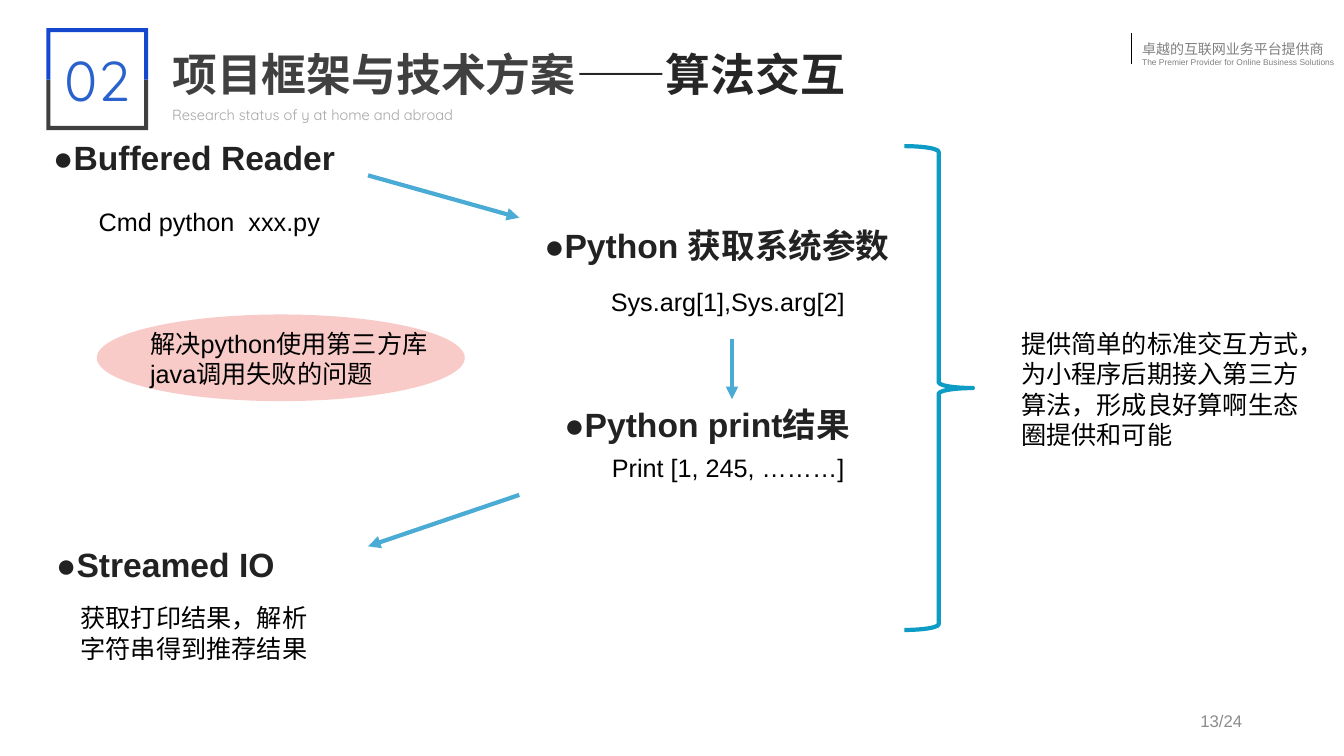
from dataclasses import dataclass

from lxml import etree
from pptx import Presentation, util as u
from pptx.dml.color import RGBColor
from pptx.enum import shapes, text
from pptx.oxml.ns import qn
from pptx.shapes.base import BaseShape
from pptx.shapes.connector import Connector
from pptx.slide import Slide

PX = 9144
LATIN = "Arial"
CHINESE = "Noto Sans CJK SC"
ROUNDED = "Quicksand"

BLACK = RGBColor(0x00, 0x00, 0x00)
INK = RGBColor(0x22, 0x22, 0x22)
DARK = RGBColor(0x26, 0x26, 0x26)
CHARCOAL = RGBColor(0x40, 0x40, 0x40)
GRAY = RGBColor(0x80, 0x80, 0x80)
PAGE_GRAY = RGBColor(0x8C, 0x8C, 0x8C)
PALE_GRAY = RGBColor(0xA6, 0xA6, 0xA6)
FRAME_BLUE = RGBColor(0x15, 0x48, 0xCE)
NUMBER_BLUE = RGBColor(0x29, 0x62, 0xCD)
ARROW_BLUE = RGBColor(0x4A, 0xAB, 0xD5)
BRACE_BLUE = RGBColor(0x0D, 0x9C, 0xC6)
PINK = RGBColor(0xF8, 0xCB, 0xC8)


@dataclass(frozen=True)
class Run:
    content: str
    size: float = 18
    color: RGBColor = BLACK
    bold: bool = False
    font: str = LATIN


@dataclass(frozen=True)
class Label:
    left: int
    top: int
    width: int
    height: int
    paragraphs: tuple[tuple[Run, ...], ...]
    align: text.PP_ALIGN = text.PP_ALIGN.LEFT
    anchor: text.MSO_ANCHOR = text.MSO_ANCHOR.TOP
    spacing: float = 1.0


@dataclass(frozen=True)
class Line:
    start: tuple[int, int]
    end: tuple[int, int]
    color: RGBColor = ARROW_BLUE
    weight: float = 3
    arrow: bool = True


def heading(left: int, top: int, content: str) -> Label:
    return Label(left, top, 584, 50, ((Run(content, 24, INK, True),),))


def body(left: int, top: int, width: int, height: int, content: str) -> Label:
    return Label(left, top, width, height, ((Run(content),),))


LABELS = (
    Label(1123, 35, 310, 37, (
        (Run("卓越的互联网业务平台提供商", 10, GRAY, font=CHINESE),),
        (Run("The Premier Provider for Online Business Solutions", 6, GRAY),),
    )),
    Label(161, 41, 720, 64, ((
        Run("项目框架与技术方案", 32, CHARCOAL, True),
        Run("——算法交互", 32, DARK, True),
    ),)),
    Label(161, 98, 466, 28, (
        (Run("Research status of y at home and abroad", 10.5, PALE_GRAY, font=ROUNDED),),
    ), spacing=1.14),
    Label(942, 695, 300, 40, ((Run("13/24", 12, PAGE_GRAY),),),
          text.PP_ALIGN.RIGHT, text.MSO_ANCHOR.MIDDLE),
    Label(46, 40, 101, 77, ((Run("02", 40, NUMBER_BLUE, font=ROUNDED),),),
          text.PP_ALIGN.CENTER),
    heading(43, 131, "●Buffered Reader"),
    heading(46, 535, "●Streamed IO"),
    heading(530, 218, "●Python 获取系统参数"),
    heading(550, 396, "●Python print结果"),
    body(139, 321, 312, 71, "解决python使用第三方库java调用失败的问题"),
    body(88, 200, 262, 40, "Cmd python  xxx.py"),
    body(596, 279, 262, 40, "Sys.arg[1],Sys.arg[2]"),
    body(597, 444, 262, 40, "Print [1, 245, ………]"),
    body(70, 593, 262, 71, "获取打印结果，解析字符串得到推荐结果"),
    body(1003, 321, 303, 131,
         "提供简单的标准交互方式，为小程序后期接入第三方算法，形成良好算啊生态圈提供和可能"),
)

LINES = (
    Line((1122, 33), (1122, 64), BLACK, 0.25, False),
    Line((365, 174), (515, 216)),
    Line((726, 336), (726, 396)),
    Line((515, 491), (365, 542)),
)


def add_label(slide: Slide, label: Label) -> None:
    box = slide.shapes.add_textbox(
        label.left * PX, label.top * PX, label.width * PX, label.height * PX)
    frame = box.text_frame
    frame.word_wrap = True
    frame.vertical_anchor = label.anchor
    for index, runs in enumerate(label.paragraphs):
        paragraph = frame.add_paragraph() if index else frame.paragraphs[0]
        paragraph.alignment = label.align
        paragraph.line_spacing = label.spacing
        for item in runs:
            run = paragraph.add_run()
            run.text = item.content
            run.font.name = item.font
            run.font.size = u.Pt(item.size)
            run.font.bold = item.bold
            run.font.color.rgb = item.color
            east_asian = etree.SubElement(run.font._element, qn("a:ea"))
            east_asian.set("typeface", CHINESE)


def add_line(slide: Slide, line: Line) -> Connector:
    (x1, y1), (x2, y2) = line.start, line.end
    connector = slide.shapes.add_connector(
        shapes.MSO_CONNECTOR.STRAIGHT, x1 * PX, y1 * PX, x2 * PX, y2 * PX)
    connector.line.color.rgb = line.color
    connector.line.width = u.Pt(line.weight)
    if line.arrow:
        tail = etree.SubElement(connector.line._get_or_add_ln(), qn("a:tailEnd"))
        tail.set("type", "triangle")
    etree.SubElement(connector._element.spPr, qn("a:effectLst"))
    return connector


def fill_plain(shape: BaseShape, color: RGBColor) -> None:
    shape.shadow.inherit = False
    shape.fill.solid()
    shape.fill.fore_color.rgb = color
    shape.line.fill.background()


def add_half_frame(slide: Slide, edge: int, color: RGBColor) -> None:
    left, right, middle, border = 46, 147, 79, 4
    inner = edge + border if edge < middle else edge - border
    points = (
        (right, middle), (right, edge), (left, edge), (left, middle),
        (left + border, middle), (left + border, inner),
        (right - border, inner), (right - border, middle),
    )
    builder = slide.shapes.build_freeform(*points[0], scale=PX)
    builder.add_line_segments(points[1:], close=True)
    fill_plain(builder.convert_to_shape(), color)


def add_brace(slide: Slide) -> None:
    brace = slide.shapes.add_shape(
        shapes.MSO_SHAPE.RIGHT_BRACE, 897 * PX, 145 * PX, 68 * PX, 480 * PX)
    brace.shadow.inherit = False
    brace.fill.background()
    brace.line.color.rgb = BRACE_BLUE
    brace.line.width = u.Pt(3)


def main() -> None:
    presentation = Presentation()
    presentation.slide_width = 1333 * PX
    presentation.slide_height = 750 * PX
    slide = presentation.slides.add_slide(presentation.slide_layouts[6])
    ellipse = slide.shapes.add_shape(
        shapes.MSO_SHAPE.OVAL, 96 * PX, 312 * PX, 365 * PX, 86 * PX)
    fill_plain(ellipse, PINK)
    add_half_frame(slide, 129, CHARCOAL)
    add_half_frame(slide, 28, FRAME_BLUE)
    add_brace(slide)
    for line in LINES:
        add_line(slide, line)
    for label in LABELS:
        add_label(slide, label)
    presentation.save("out.pptx")


if __name__ == "__main__":
    main()
